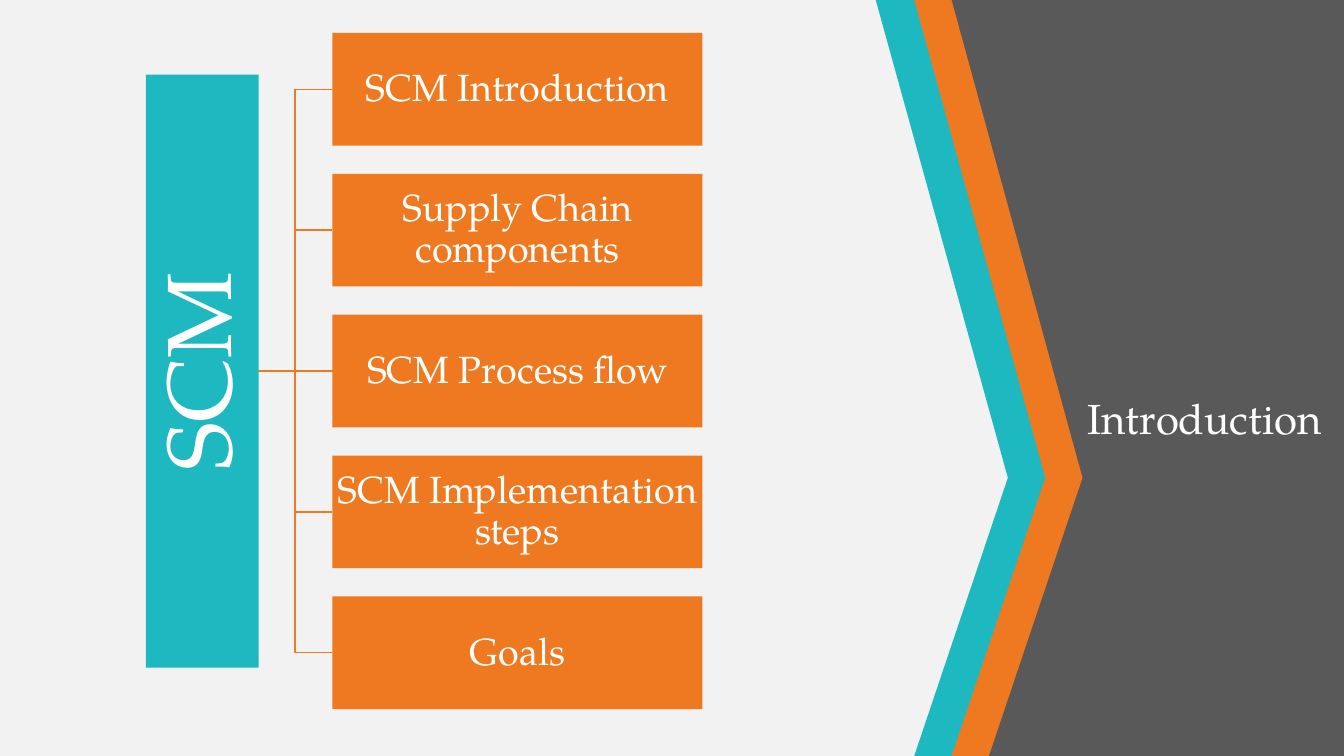
"""Build the SCM introduction slide with its topic tree."""
from lxml import etree
from pptx import Presentation
from pptx.dml.color import RGBColor
from pptx.enum.shapes import MSO_CONNECTOR, MSO_SHAPE
from pptx.enum.text import MSO_ANCHOR, PP_ALIGN
from pptx.oxml.ns import qn
from pptx.util import Cm, Pt

RECT = MSO_SHAPE.RECTANGLE
STRAIGHT = MSO_CONNECTOR.STRAIGHT
MIDDLE, BOTTOM = MSO_ANCHOR.MIDDLE, MSO_ANCHOR.BOTTOM
LEFT, CENTER = PP_ALIGN.LEFT, PP_ALIGN.CENTER
FONT = "TeX Gyre Pagella"
PALE = RGBColor(0xF2, 0xF2, 0xF2)
GREY = RGBColor(0x59, 0x59, 0x59)
ORANGE = RGBColor(0xEF, 0x79, 0x20)
TEAL = RGBColor(0x1E, 0xB8, 0xC1)
WHITE = RGBColor(0xFF, 0xFF, 0xFF)
WIDE, HIGH, BEND = 33.87, 19.05, 12.04


def outline(points, close):
    """Add a freeform through points given in centimetres."""
    start, *rest = [(Cm(x), Cm(y)) for x, y in points]
    path = slide.shapes.build_freeform(*start)
    path.add_line_segments(rest, close=close)
    shape = path.convert_to_shape()
    shape.shadow.inherit = False
    return shape


def write(shape, text, size, side, edge, align, anchor):
    """Set one line of white text with insets in centimetres."""
    frame = shape.text_frame
    frame.text = text
    frame.word_wrap = True
    frame.vertical_anchor = anchor
    frame.margin_left = frame.margin_right = Cm(side)
    frame.margin_top = frame.margin_bottom = Cm(edge)
    para = frame.paragraphs[0]
    para.alignment = align
    para.line_spacing = 0.9
    font = para.runs[0].font
    font.name, font.size = FONT, Pt(size)
    font.color.rgb = WHITE


deck = Presentation()
deck.slide_width, deck.slide_height = Cm(WIDE), Cm(HIGH)
slide = deck.slides.add_slide(deck.slide_layouts[6])
slide.background.fill.solid()
slide.background.fill.fore_color.rgb = PALE

bands = [
    (GREY, [(23.41, 0), (WIDE, 0), (WIDE, HIGH), (24.36, HIGH), (26.72, BEND)]),
    (ORANGE, [(22.63, 0), (23.98, 0), (27.28, BEND),
              (24.92, HIGH), (23.57, HIGH), (25.93, BEND)]),
    (TEAL, [(22.07, 0), (23.04, 0), (26.34, BEND),
            (23.98, HIGH), (23.04, HIGH), (25.4, BEND)]),
]
for color, points in bands:
    band = outline(points, True)
    band.fill.solid()
    band.fill.fore_color.rgb = color
    band.line.fill.background()

title = slide.shapes.add_textbox(Cm(27.15), Cm(9.37), Cm(6.72), Cm(1.93))
write(title, "Introduction", 30, 0.25, 0.13, LEFT, BOTTOM)

topics = ["SCM Introduction", "Supply Chain components", "SCM Process flow",
          "SCM Implementation steps", "Goals"]
TOP, STEP, TALL = 0.83, 3.55, 2.84
ROOT, FORK, LEAF = 6.5, 7.44, 8.38
mids = [TOP + TALL / 2 + i * STEP for i in range(len(topics))]
hub = mids[len(mids) // 2]

for mid in reversed(mids):
    if mid == hub:
        link = slide.shapes.add_connector(
            STRAIGHT, Cm(ROOT), Cm(hub), Cm(LEAF), Cm(hub))
    else:
        link = outline([(ROOT, hub), (FORK, hub), (FORK, mid), (LEAF, mid)], False)
        link.fill.background()
    link.line.color.rgb = ORANGE
    link.line.width = Pt(1)
    if mid == hub:
        etree.SubElement(link._element.spPr, qn("a:effectLst"))

boxes = [("SCM", 65, 0.13, TEAL, -2.37, hub - 1.42, 14.94, 270)]
for topic, mid in zip(topics, mids):
    boxes.append((topic, 27, 0.05, ORANGE, LEAF, mid - TALL / 2, 9.32, 0))
for text, size, inset, color, x, y, width, turn in boxes:
    box = slide.shapes.add_shape(RECT, Cm(x), Cm(y), Cm(width), Cm(TALL))
    box.rotation = turn
    box.shadow.inherit = False
    box.fill.solid()
    box.fill.fore_color.rgb = color
    box.line.fill.background()
    write(box, text, size, inset, inset, CENTER, MIDDLE)

deck.save("out.pptx")
